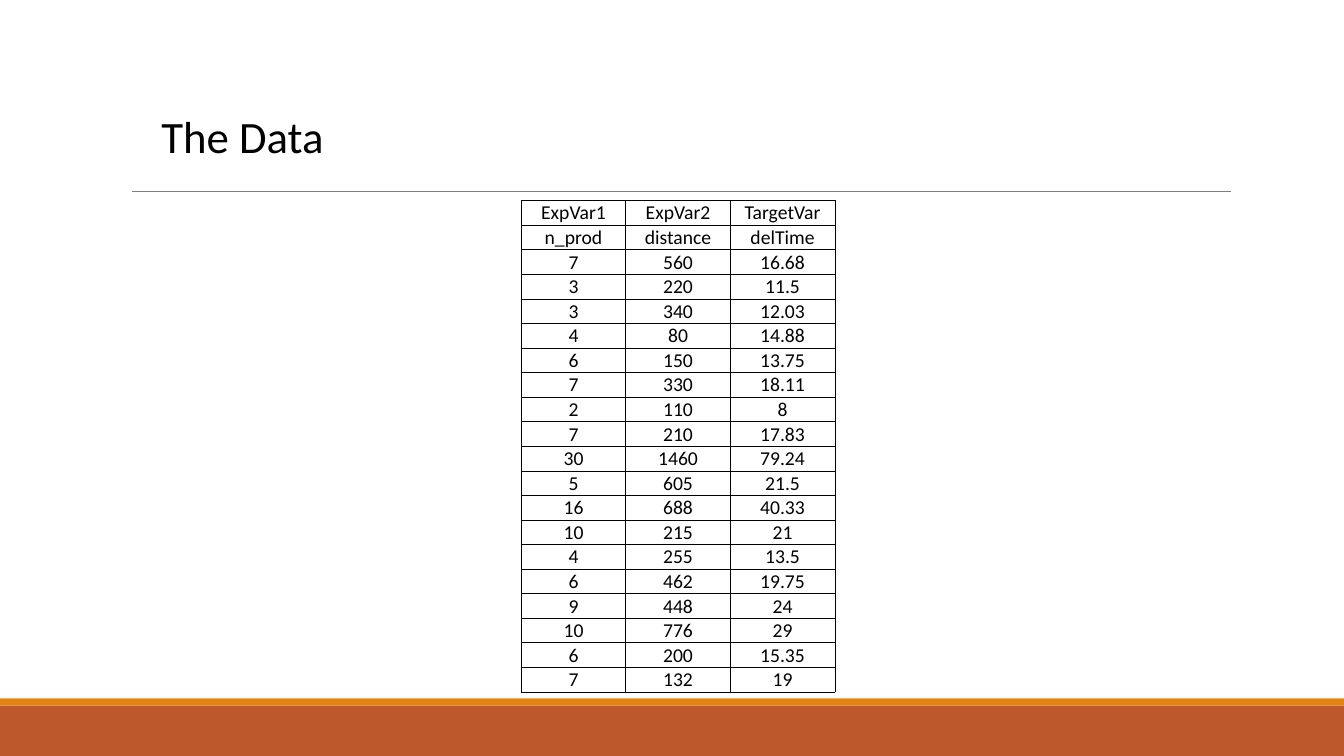
import dataclasses

import pptx
import pptx.dml.color
import pptx.enum.shapes
import pptx.enum.text
import pptx.oxml
import pptx.oxml.ns
import pptx.util
from pptx.util import Inches


@dataclasses.dataclass(frozen=True)
class Theme:
    font: str = "Calibri"
    text: str = "000000"
    background: str = "FFFFFF"
    band: str = "BD582C"
    stripe: str = "E48312"
    rule: str = "808080"
    title_size: int = 32
    cell_size: int = 14
    line_width: float = 0.5


THEME = Theme()

ROWS = [
    ("ExpVar1", "ExpVar2", "TargetVar"),
    ("n_prod", "distance", "delTime"),
    (7, 560, 16.68),
    (3, 220, 11.5),
    (3, 340, 12.03),
    (4, 80, 14.88),
    (6, 150, 13.75),
    (7, 330, 18.11),
    (2, 110, 8),
    (7, 210, 17.83),
    (30, 1460, 79.24),
    (5, 605, 21.5),
    (16, 688, 40.33),
    (10, 215, 21),
    (4, 255, 13.5),
    (6, 462, 19.75),
    (9, 448, 24),
    (10, 776, 29),
    (6, 200, 15.35),
    (7, 132, 19),
]


def rgb(value):
    return pptx.dml.color.RGBColor.from_string(value)


def set_all(target, values):
    for name, value in values.items():
        setattr(target, name, value)


def write(tf, text, size, align):
    p = tf.paragraphs[0]
    p.alignment = align
    r = p.add_run()
    r.text = text
    set_all(r.font, {"name": THEME.font, "size": pptx.util.Pt(size), "bold": False})
    r.font.color.rgb = rgb(THEME.text)


def add_band(s, top, height, color):
    sp = s.shapes.add_shape(
        pptx.enum.shapes.MSO_SHAPE.RECTANGLE,
        0, Inches(top), Inches(13.33), Inches(height))
    sp.shadow.inherit = False
    sp.fill.solid()
    sp.fill.fore_color.rgb = rgb(color)
    sp.line.fill.background()


def add_rule(s, left, right, y):
    line = s.shapes.add_connector(
        pptx.enum.shapes.MSO_CONNECTOR.STRAIGHT,
        Inches(left), Inches(y), Inches(right), Inches(y))
    line.line.color.rgb = rgb(THEME.rule)
    line.line.width = pptx.util.Pt(THEME.line_width)
    pptx.oxml.ns.qn("a:effectLst")
    line._element.spPr.append(
        pptx.oxml.parse_xml(f"<a:effectLst {pptx.oxml.ns.nsdecls('a')}/>"))


def set_title(s, text):
    sp = s.shapes.title
    set_all(sp, {"left": Inches(1.5), "top": Inches(1.03),
                 "width": Inches(1.93), "height": Inches(0.64)})
    tf = sp.text_frame
    set_all(tf, {"word_wrap": False,
                 "auto_size": pptx.enum.text.MSO_AUTO_SIZE.SHAPE_TO_FIT_TEXT,
                 "vertical_anchor": pptx.enum.text.MSO_ANCHOR.MIDDLE})
    write(tf, text, THEME.title_size, pptx.enum.text.PP_ALIGN.LEFT)


def add_borders(cell):
    tcPr = cell._tc.get_or_add_tcPr()
    width = pptx.util.Pt(THEME.line_width)
    for i, side in enumerate(("lnL", "lnR", "lnT", "lnB")):
        tcPr.insert(i, pptx.oxml.parse_xml(
            f'<a:{side} {pptx.oxml.ns.nsdecls("a")} w="{width}"><a:solidFill>'
            f'<a:srgbClr val="{THEME.text}"/></a:solidFill></a:{side}>'))


def add_data_table(s, rows, left, top, width, height):
    table = s.shapes.add_table(
        len(rows), len(rows[0]),
        Inches(left), Inches(top), Inches(width), Inches(height)).table
    set_all(table, {"first_row": False, "horz_banding": False})
    inset = pptx.util.Pt(0.5)
    layout = {"margin_left": inset, "margin_right": inset,
              "margin_top": inset, "margin_bottom": 0,
              "vertical_anchor": pptx.enum.text.MSO_ANCHOR.BOTTOM}
    for i, row in enumerate(rows):
        for j, value in enumerate(row):
            cell = table.cell(i, j)
            set_all(cell, layout)
            cell.fill.background()
            add_borders(cell)
            write(cell.text_frame, str(value), THEME.cell_size,
                  pptx.enum.text.PP_ALIGN.CENTER)


def main():
    prs = pptx.Presentation()
    set_all(prs, {"slide_width": Inches(13.33), "slide_height": Inches(7.5)})
    s = prs.slides.add_slide(prs.slide_layouts.get_by_name("Title Only"))
    s.background.fill.solid()
    s.background.fill.fore_color.rgb = rgb(THEME.background)
    add_band(s, 7, 0.5, THEME.band)
    add_band(s, 6.93, 0.07, THEME.stripe)
    add_rule(s, 1.31, 12.21, 1.9)
    set_title(s, "The Data")
    add_data_table(s, ROWS, 5.17, 1.99, 3.11, 4.88)
    prs.save("out.pptx")


if __name__ == "__main__":
    main()
